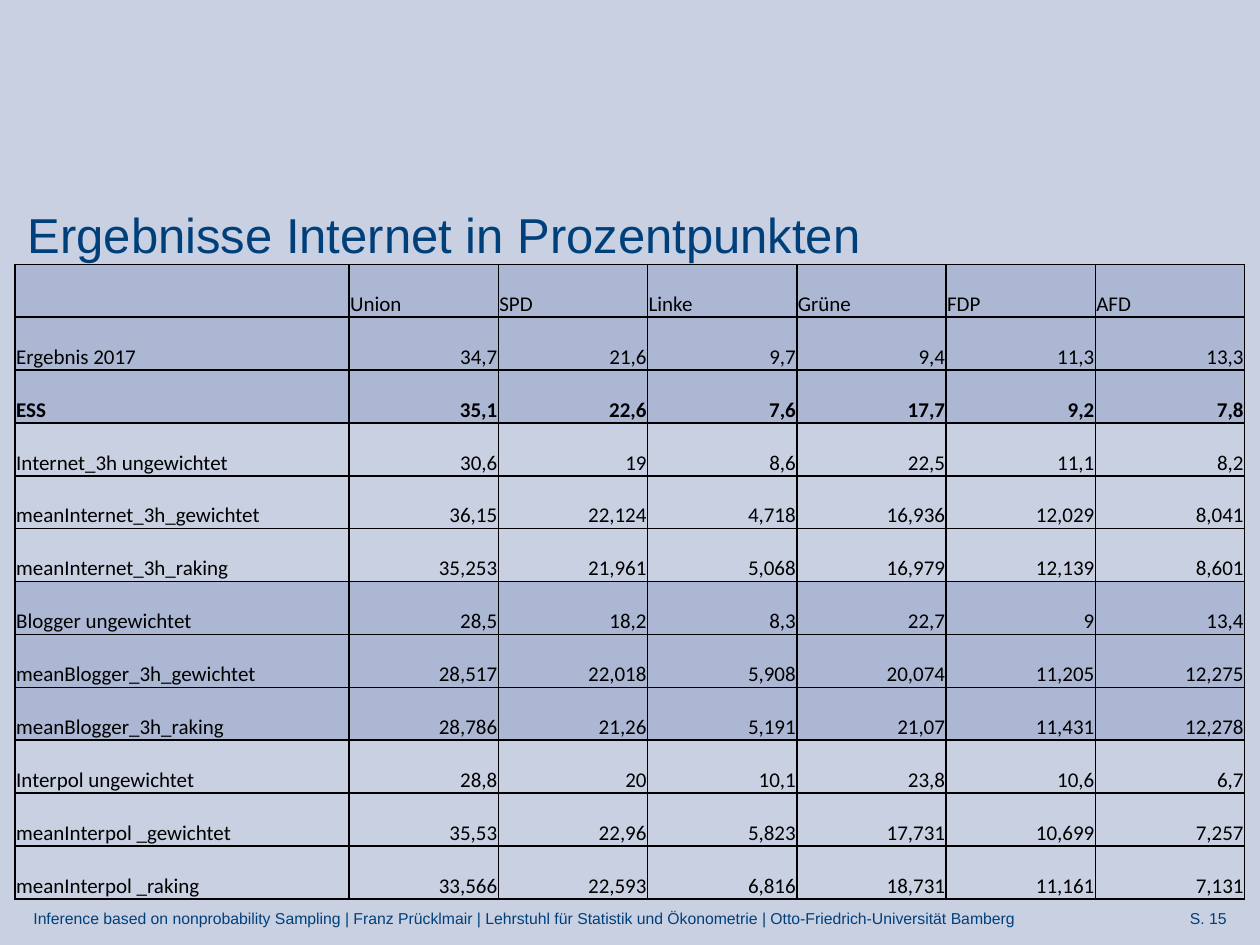
from dataclasses import dataclass

from lxml import etree
from pptx import Presentation
from pptx.dml.color import RGBColor
from pptx.enum.text import MSO_ANCHOR, PP_ALIGN
from pptx.oxml.ns import qn
from pptx.util import Pt

LEFT, RIGHT = PP_ALIGN.LEFT, PP_ALIGN.RIGHT
MIDDLE, BOTTOM = MSO_ANCHOR.MIDDLE, MSO_ANCHOR.BOTTOM
TITLE_ONLY = 5

PARTIES = ["", "Union", "SPD", "Linke", "Grüne", "FDP", "AFD"]
# Each group: shaded or not, then its rows
GROUPS = [
    (True, [
        PARTIES,
        ["Ergebnis 2017", "34,7", "21,6", "9,7", "9,4", "11,3", "13,3"],
        ["ESS", "35,1", "22,6", "7,6", "17,7", "9,2", "7,8"],
    ]),
    (False, [
        ["Internet_3h ungewichtet", "30,6", "19", "8,6", "22,5", "11,1", "8,2"],
        ["meanInternet_3h_gewichtet", "36,15", "22,124", "4,718", "16,936", "12,029", "8,041"],
        ["meanInternet_3h_raking", "35,253", "21,961", "5,068", "16,979", "12,139", "8,601"],
    ]),
    (True, [
        ["Blogger ungewichtet", "28,5", "18,2", "8,3", "22,7", "9", "13,4"],
        ["meanBlogger_3h_gewichtet", "28,517", "22,018", "5,908", "20,074", "11,205", "12,275"],
        ["meanBlogger_3h_raking", "28,786", "21,26", "5,191", "21,07", "11,431", "12,278"],
    ]),
    (False, [
        ["Interpol ungewichtet", "28,8", "20", "10,1", "23,8", "10,6", "6,7"],
        ["meanInterpol _gewichtet", "35,53", "22,96", "5,823", "17,731", "10,699", "7,257"],
        ["meanInterpol _raking", "33,566", "22,593", "6,816", "18,731", "11,161", "7,131"],
    ]),
]
BOLD_LABEL = "ESS"
FOOTER = ("Inference based on nonprobability Sampling | Franz Prücklmair | "
          "Lehrstuhl für Statistik und Ökonometrie | Otto-Friedrich-Universität Bamberg")


@dataclass(frozen=True)
class Theme:
    background: str = "C8D0E2"
    shade: str = "ACB8D3"
    accent: str = "00407A"
    ink: str = "000000"
    font: str = "Arial"
    table_font: str = "Calibri"
    title_size: float = 28
    table_size: float = 12
    footer_size: float = 9
    border: float = 1


class SlideBuilder:
    def __init__(self, prs, theme):
        self.theme = theme
        self.s = prs.slides.add_slide(prs.slide_layouts[TITLE_ONLY])
        fill = self.s.background.fill
        fill.solid()
        fill.fore_color.rgb = RGBColor.from_string(theme.background)

    def style(self, tf, font, size, color, align=LEFT, bold=False):
        for p in tf.paragraphs:
            p.alignment = align
            for r in p.runs:
                r.font.name = font
                r.font.size = Pt(size)
                r.font.bold = bold
                r.font.color.rgb = RGBColor.from_string(color)

    def title(self, text, x, y, w, h):
        sp = self.s.shapes.title
        sp.left, sp.top, sp.width, sp.height = Pt(x), Pt(y), Pt(w), Pt(h)
        tf = sp.text_frame
        tf.text = text
        tf.vertical_anchor = MIDDLE
        self.style(tf, self.theme.font, self.theme.title_size, self.theme.accent)

    def footer(self, text, x, y, w, h, align=LEFT):
        tf = self.s.shapes.add_textbox(Pt(x), Pt(y), Pt(w), Pt(h)).text_frame
        tf.text = text
        tf.word_wrap = True
        self.style(tf, self.theme.font, self.theme.footer_size, self.theme.accent, align)

    def borders(self, cell):
        tc_pr = cell._tc.get_or_add_tcPr()
        for side in ("a:lnL", "a:lnR", "a:lnT", "a:lnB"):
            ln = etree.SubElement(tc_pr, qn(side), w=str(Pt(self.theme.border)))
            fill = etree.SubElement(ln, qn("a:solidFill"))
            etree.SubElement(fill, qn("a:srgbClr"), val=self.theme.ink)

    def cell(self, cell, text, align, bold, shaded):
        self.borders(cell)  # the schema puts borders before the fill
        if shaded:
            cell.fill.solid()
            cell.fill.fore_color.rgb = RGBColor.from_string(self.theme.shade)
        else:
            cell.fill.background()
        cell.margin_left = cell.margin_right = cell.margin_top = Pt(0.6)
        cell.margin_bottom = 0
        cell.vertical_anchor = BOTTOM
        cell.text_frame.text = text
        self.style(cell.text_frame, self.theme.table_font, self.theme.table_size,
                   self.theme.ink, align, bold)

    def table(self, groups, x, y, w, h, label_width):
        rows = [(shaded, row) for shaded, group in groups for row in group]
        n_cols = len(rows[0][1])
        table = self.s.shapes.add_table(len(rows), n_cols, Pt(x), Pt(y), Pt(w), Pt(h)).table
        table.first_row = table.horz_banding = False
        for j, column in enumerate(table.columns):
            column.width = Pt((w - label_width) / (n_cols - 1) if j else label_width)
        for i, (shaded, row) in enumerate(rows):
            table.rows[i].height = Pt(h / len(rows))
            for j, text in enumerate(row):
                align = RIGHT if i and j else LEFT
                self.cell(table.cell(i, j), text, align, row[0] == BOLD_LABEL, shaded)


def main():
    prs = Presentation()
    prs.slide_width, prs.slide_height = Pt(720), Pt(540)
    slide = SlideBuilder(prs, Theme())
    slide.footer("S. 15", 624, 516, 84, 18, RIGHT)
    slide.footer(FOOTER, 12, 516, 594, 18)
    slide.title("Ergebnisse Internet in Prozentpunkten", 8.64, 88.5, 588, 90)
    slide.table(GROUPS, 8.64, 151, 702.72, 362.88, label_width=190.8)
    prs.save("out.pptx")


if __name__ == "__main__":
    main()
